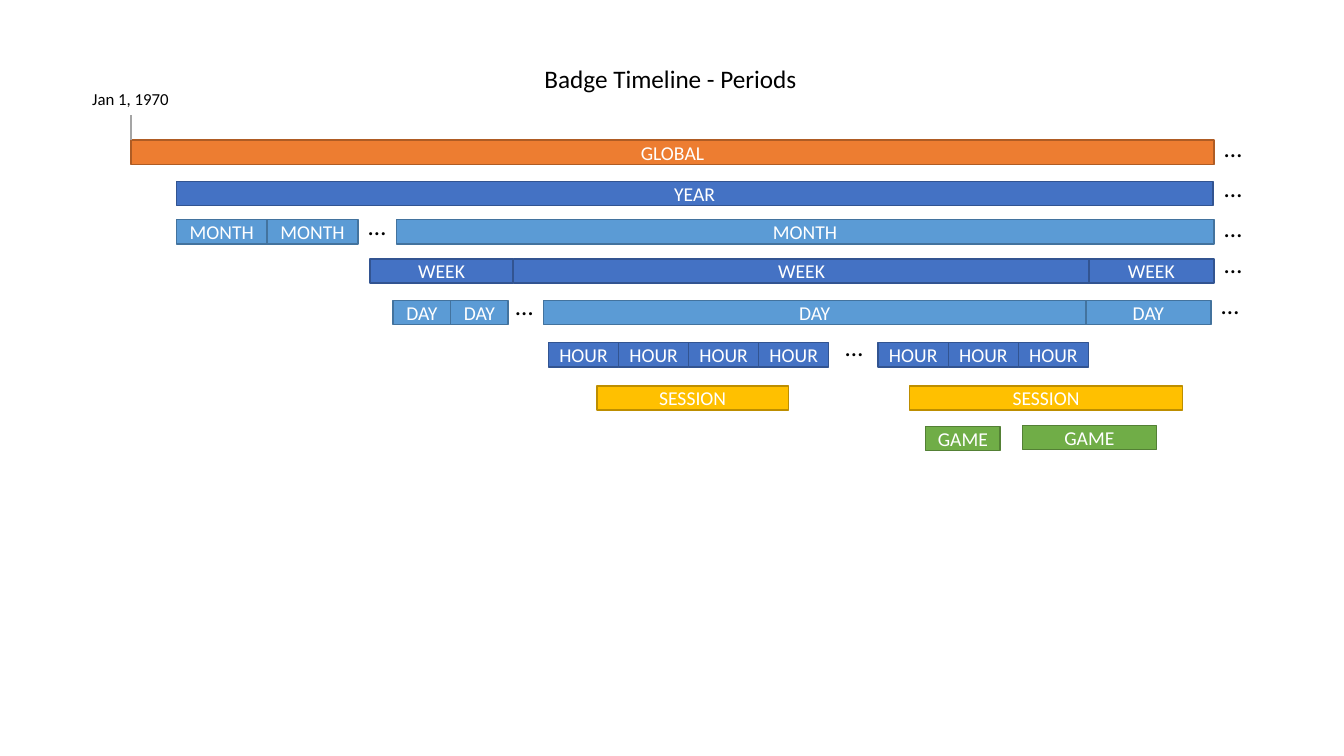
from dataclasses import dataclass

from lxml.etree import SubElement
from pptx import Presentation
from pptx.dml.color import RGBColor
from pptx.enum.shapes import MSO_CONNECTOR, MSO_SHAPE
from pptx.enum.text import MSO_ANCHOR, MSO_AUTO_SIZE, PP_ALIGN
from pptx.oxml.ns import qn
from pptx.slide import Slide
from pptx.text.text import TextFrame
from pptx.util import Inches, Pt

COL = ROW = Inches(0.1)
BAR_ROWS = 2.4
DOTS_COLS, DOTS_ROWS = 3.8, 4
EPOCH_COL, EPOCH_ROW = 13, 13.9
FONT = "Calibri"
COLORS = {
    "text": "000000", "label": "FFFFFF", "marker": "A5A5A5",
    "orange": "ED7D31", "orange_edge": "AF5C24",
    "blue": "4472C4", "blue_edge": "325491",
    "sky": "5B9BD5", "sky_edge": "43739E",
    "gold": "FFC000", "gold_edge": "BD8E00",
    "green": "70AD47", "green_edge": "538035",
}


@dataclass(frozen=True)
class Span:
    col: float
    cols: float


@dataclass(frozen=True)
class Dots:
    col: float
    row: float


@dataclass(frozen=True)
class Period:
    label: str
    row: float
    color: str
    spans: list[Span]
    dots: tuple[Dots, ...] = ()


def repeat(col: float, cols: float, count: int) -> list[Span]:
    return [Span(col + i * cols, cols) for i in range(count)]


PERIODS = [
    Period("GLOBAL", EPOCH_ROW, "orange", [Span(EPOCH_COL, 107.4)],
           (Dots(120.4, 12.6),)),
    Period("YEAR", 18, "blue", [Span(17.5, 102.8)], (Dots(120.4, 16.6),)),
    Period("MONTH", 21.8, "sky", repeat(17.5, 9, 2) + [Span(39.3, 81.1)],
           (Dots(35.5, 20.4), Dots(120.4, 20.6))),
    Period("WEEK", 25.7, "blue",
           [Span(36.7, 14.2), Span(50.9, 57.2), Span(108, 12.4)],
           (Dots(120.4, 24.1),)),
    Period("DAY", 29.8, "sky",
           repeat(39, 5.7, 2) + [Span(53.9, 53.8), Span(107.7, 12.4)],
           (Dots(50.1, 28.3), Dots(120.1, 28.2))),
    Period("HOUR", 34, "blue", repeat(54.4, 6.95, 4) + repeat(87.1, 6.95, 3),
           (Dots(82.8, 32.4),)),
    Period("SESSION", 38.3, "gold", [Span(59.2, 19), Span(90.2, 27.1)]),
    Period("GAME", 42.3, "green", [Span(91.8, 7.4)]),
    Period("GAME", 42.2, "green", [Span(101.4, 13.3)]),
]


def rgb(name: str) -> RGBColor:
    return RGBColor.from_string(COLORS[name])


def box(col: float, row: float, cols: float, rows: float) -> list[int]:
    return [round(col * COL), round(row * ROW),
            round(cols * COL), round(rows * ROW)]


def write(tf: TextFrame, text: str, size: float, color: str = "text",
          align: PP_ALIGN = PP_ALIGN.CENTER,
          anchor: MSO_ANCHOR = MSO_ANCHOR.MIDDLE) -> None:
    tf.text = text
    tf.word_wrap = False
    tf.vertical_anchor = anchor
    p = tf.paragraphs[0]
    p.alignment = align
    r = p.runs[0]
    r.font.name = FONT
    r.font.size = Pt(size)
    r.font.color.rgb = rgb(color)


def add_title(s: Slide) -> None:
    sp = s.shapes.title
    sp.left, sp.top, sp.width, sp.height = box(53, 5.8, 27.3, 4)
    write(sp.text_frame, "Badge Timeline - Periods", 18,
          align=PP_ALIGN.LEFT, anchor=MSO_ANCHOR.TOP)
    sp.text_frame.auto_size = MSO_AUTO_SIZE.SHAPE_TO_FIT_TEXT


def add_text(s: Slide, text: str, place: list[int], size: float,
             anchor: MSO_ANCHOR = MSO_ANCHOR.MIDDLE) -> None:
    tf = s.shapes.add_textbox(*place).text_frame
    write(tf, text, size, anchor=anchor)
    tf.auto_size = MSO_AUTO_SIZE.SHAPE_TO_FIT_TEXT


def add_epoch(s: Slide) -> None:
    add_text(s, "Jan 1, 1970", box(8.1, 8.3, 9.7, 3), 12, MSO_ANCHOR.TOP)
    x, bottom, _, height = box(EPOCH_COL, EPOCH_ROW, 0, 2.5)
    line = s.shapes.add_connector(
        MSO_CONNECTOR.STRAIGHT, x, bottom, x, bottom - height)
    line.line.color.rgb = rgb("marker")
    line.line.width = Pt(1)
    SubElement(line._element.spPr, qn("a:effectLst"))


def add_period(s: Slide, period: Period) -> None:
    for span in period.spans:
        sp = s.shapes.add_shape(
            MSO_SHAPE.RECTANGLE,
            *box(span.col, period.row, span.cols, BAR_ROWS))
        sp.shadow.inherit = False
        sp.fill.solid()
        sp.fill.fore_color.rgb = rgb(period.color)
        sp.line.color.rgb = rgb(f"{period.color}_edge")
        sp.line.width = Pt(1)
        write(sp.text_frame, period.label, 14, "label")
    for dots in period.dots:
        add_text(s, "…", box(dots.col, dots.row, DOTS_COLS, DOTS_ROWS), 18)


def main() -> None:
    prs = Presentation()
    prs.slide_width, prs.slide_height = Inches(13.33), Inches(7.5)
    s = prs.slides.add_slide(prs.slide_layouts.get_by_name("Title Only"))
    add_title(s)
    for period in PERIODS:
        add_period(s, period)
    add_epoch(s)
    prs.save("out.pptx")


if __name__ == "__main__":
    main()
